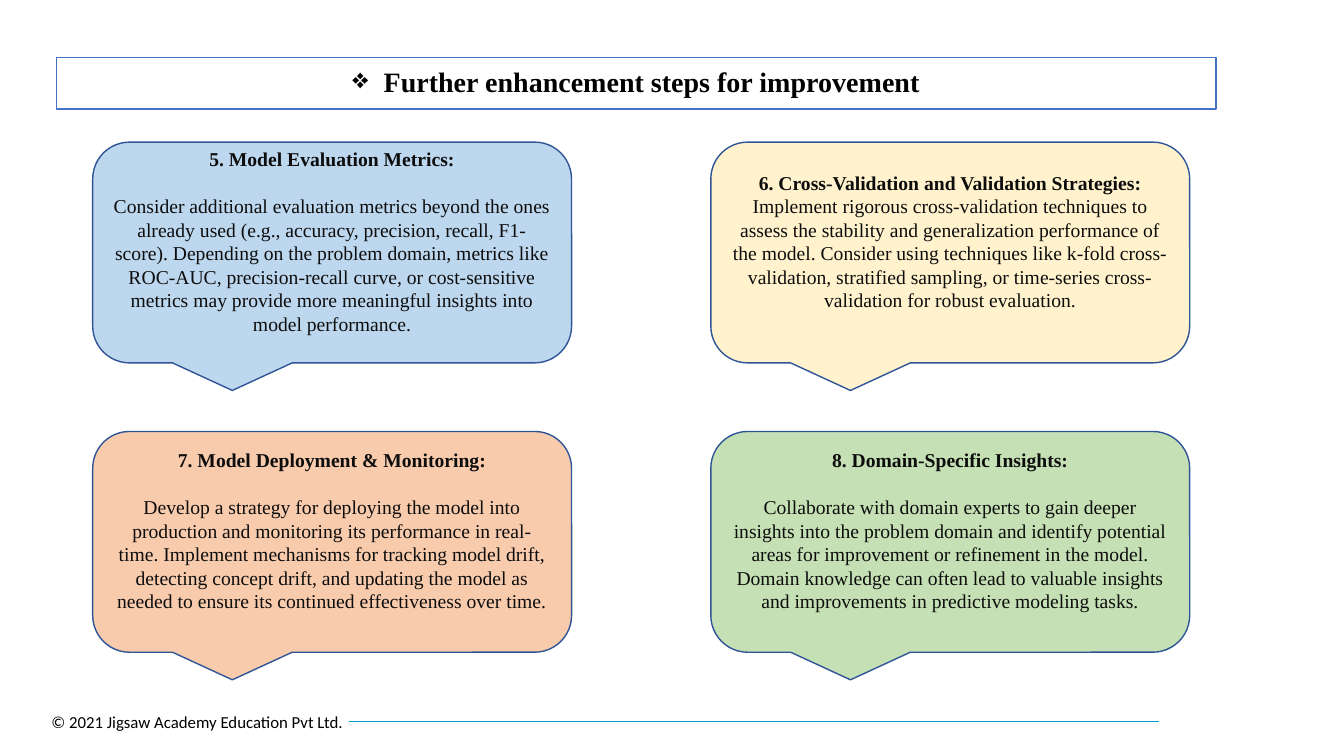
from dataclasses import dataclass

from lxml import etree
from pptx import Presentation
from pptx.dml.color import RGBColor
from pptx.enum.shapes import MSO_CONNECTOR, MSO_SHAPE
from pptx.enum.text import MSO_ANCHOR, PP_ALIGN
from pptx.oxml.ns import qn
from pptx.util import Inches, Pt

STRAIGHT = MSO_CONNECTOR.STRAIGHT
RECTANGLE = MSO_SHAPE.RECTANGLE
CALLOUT = MSO_SHAPE.ROUNDED_RECTANGULAR_CALLOUT
MIDDLE = MSO_ANCHOR.MIDDLE
CENTER = PP_ALIGN.CENTER

SLIDE_WIDTH, SLIDE_HEIGHT = Inches(13.33), Inches(7.5)


@dataclass(frozen=True)
class Theme:
    serif: str = "Times New Roman"
    sans: str = "Calibri"
    black: str = "000000"
    card_text: str = "0D0D0D"
    title_line: str = "4472C4"
    card_line: str = "2F5597"
    footer_line: str = "00A0CC"
    blue: str = "BDD7EE"
    yellow: str = "FFF2CC"
    orange: str = "F8CBAD"
    green: str = "C5E0B4"
    title_size: float = 20
    card_size: float = 14
    footer_size: float = 12
    blank_line: float = 16.9


@dataclass(frozen=True)
class Area:
    """A rectangle in percent of the slide's width and height."""
    left: float
    top: float
    width: float
    height: float

    def box(self) -> tuple:
        return (across(self.left), down(self.top), across(self.width), down(self.height))


@dataclass(frozen=True)
class Card:
    column: int
    row: int
    fill: str
    heading: str
    body: str
    gap: float = 0


THEME = Theme()
TITLE_AREA = Area(4.2, 7.6, 86.27, 6.8)
FIRST_CARD = Area(6.9, 18.8, 35.63, 29.2)
COLUMN_STEP, ROW_STEP = 45.99, 38.27
FOOTER_AREA = Area(3.08, 93.47, 23.48, 4)
FOOTER_RULE = Area(25.96, 95.47, 60.24, 0)

CARDS = [
    Card(0, 0, THEME.blue, "5. Model Evaluation Metrics:",
         "Consider additional evaluation metrics beyond the ones already used (e.g., accuracy, "
         "precision, recall, F1-score). Depending on the problem domain, metrics like ROC-AUC, "
         "precision-recall curve, or cost-sensitive metrics may provide more meaningful insights "
         "into model performance.", THEME.blank_line),
    Card(1, 0, THEME.yellow, "6. Cross-Validation and Validation Strategies:",
         "Implement rigorous cross-validation techniques to assess the stability and "
         "generalization performance of the model. Consider using techniques like k-fold "
         "cross-validation, stratified sampling, or time-series cross-validation for robust "
         "evaluation."),
    Card(0, 1, THEME.orange, "7. Model Deployment & Monitoring:",
         "Develop a strategy for deploying the model into production and monitoring its "
         "performance in real-time. Implement mechanisms for tracking model drift, detecting "
         "concept drift, and updating the model as needed to ensure its continued effectiveness "
         "over time.", THEME.blank_line),
    Card(1, 1, THEME.green, "8. Domain-Specific Insights:",
         "Collaborate with domain experts to gain deeper insights into the problem domain and "
         "identify potential areas for improvement or refinement in the model. Domain knowledge "
         "can often lead to valuable insights and improvements in predictive modeling tasks.",
         THEME.blank_line),
]


def across(percent: float) -> int:
    return round(SLIDE_WIDTH * percent / 100)


def down(percent: float) -> int:
    return round(SLIDE_HEIGHT * percent / 100)


def apply(target, formats: dict) -> None:
    for name, value in formats.items():
        setattr(target, name, value)


def write(paragraph, text: str, color: str, font: dict, layout: dict) -> None:
    run = paragraph.add_run()
    run.text = text
    apply(run.font, font)
    run.font.color.rgb = RGBColor.from_string(color)
    apply(paragraph, layout)


def add_panel(slide, kind, area: Area, line: str, fill: str = ""):
    shape = slide.shapes.add_shape(kind, *area.box())
    shape.shadow.inherit = False
    if fill:
        shape.fill.solid()
        shape.fill.fore_color.rgb = RGBColor.from_string(fill)
    else:
        shape.fill.background()
    shape.line.color.rgb = RGBColor.from_string(line)
    shape.line.width = Pt(1)
    apply(shape.text_frame, {"word_wrap": True, "vertical_anchor": MIDDLE})
    return shape


def add_title(slide) -> None:
    shape = add_panel(slide, RECTANGLE, TITLE_AREA, THEME.title_line)
    paragraph = shape.text_frame.paragraphs[0]
    properties = paragraph._p.get_or_add_pPr()
    properties.set("marL", str(Inches(0.31)))
    properties.set("indent", str(-Inches(0.31)))
    etree.SubElement(properties, qn("a:buChar")).set("char", "❖")
    write(paragraph, "Further enhancement steps for improvement", THEME.black,
          {"name": THEME.serif, "size": Pt(THEME.title_size), "bold": True},
          {"alignment": CENTER, "line_spacing": 0.9})


def add_card(slide, card: Card) -> None:
    area = Area(FIRST_CARD.left + card.column * COLUMN_STEP,
                FIRST_CARD.top + card.row * ROW_STEP,
                FIRST_CARD.width, FIRST_CARD.height)
    frame = add_panel(slide, CALLOUT, area, THEME.card_line, card.fill).text_frame
    apply(frame, {"margin_top": 0, "margin_bottom": down(3)})
    font = {"name": THEME.serif, "size": Pt(THEME.card_size)}
    write(frame.paragraphs[0], card.heading, THEME.card_text, font | {"bold": True},
          {"alignment": CENTER, "space_after": Pt(card.gap)})
    write(frame.add_paragraph(), card.body, THEME.card_text, font | {"bold": False},
          {"alignment": CENTER})


def add_footer(slide) -> None:
    left, top, width, _ = FOOTER_RULE.box()
    rule = slide.shapes.add_connector(STRAIGHT, left, top, left + width, top)
    rule.line.color.rgb = RGBColor.from_string(THEME.footer_line)
    rule.line.width = Pt(0.5)
    etree.SubElement(rule._element.spPr, qn("a:effectLst"))
    frame = slide.shapes.add_textbox(*FOOTER_AREA.box()).text_frame
    frame.word_wrap = False
    write(frame.paragraphs[0], "© 2021 Jigsaw Academy Education Pvt Ltd.", THEME.black,
          {"name": THEME.sans, "size": Pt(THEME.footer_size)}, {})


def main() -> None:
    presentation = Presentation()
    apply(presentation, {"slide_width": SLIDE_WIDTH, "slide_height": SLIDE_HEIGHT})
    slide = presentation.slides.add_slide(presentation.slide_layouts[6])
    add_footer(slide)
    add_title(slide)
    for card in CARDS:
        add_card(slide, card)
    presentation.save("out.pptx")


if __name__ == "__main__":
    main()
